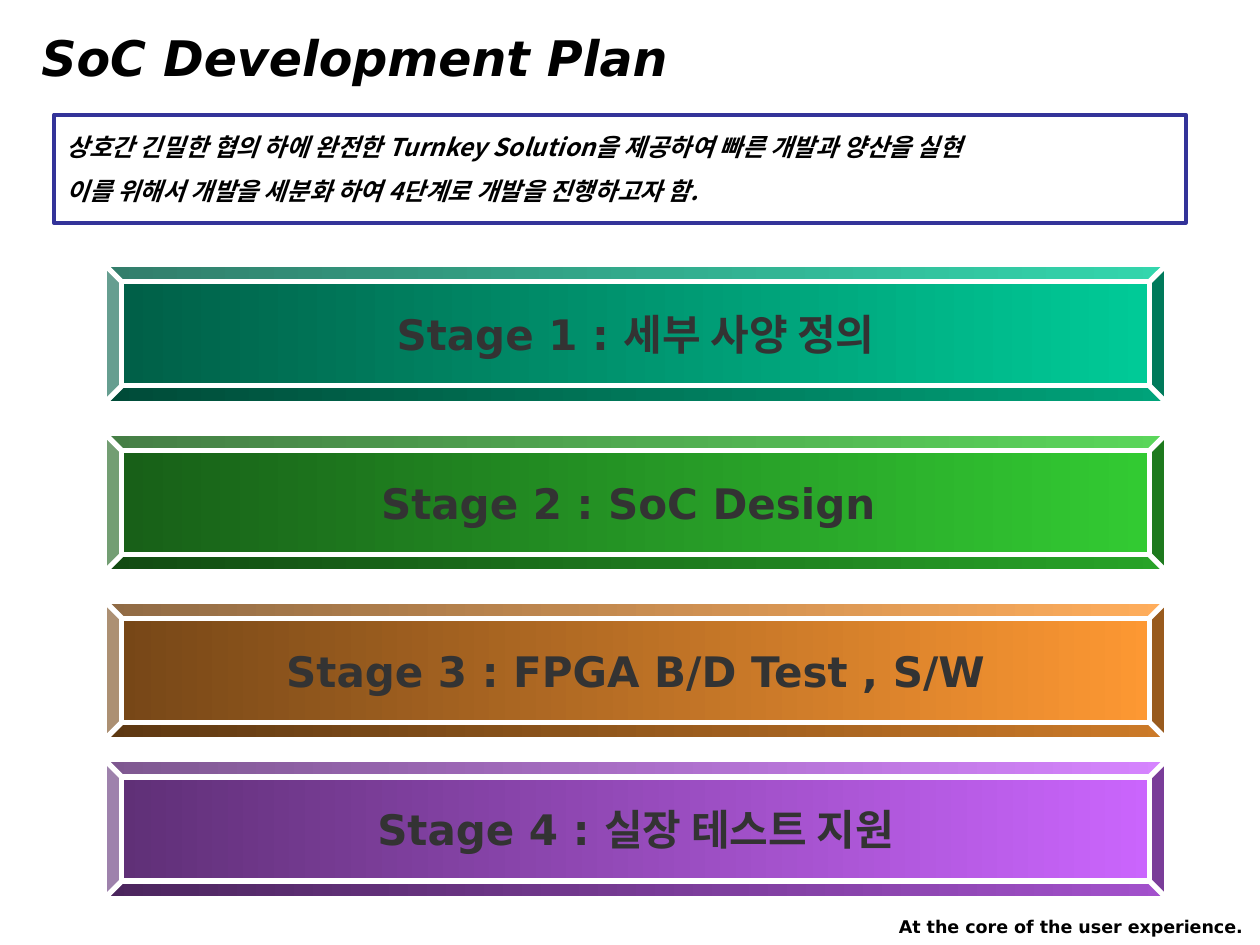
from lxml import etree
from pptx import Presentation
from pptx import util as u
from pptx.dml.color import RGBColor
from pptx.enum import shapes, text
from pptx.oxml import ns

BLACK = RGBColor(0x00, 0x00, 0x00)
WHITE = RGBColor(0xFF, 0xFF, 0xFF)
CHARCOAL = RGBColor(0x33, 0x33, 0x33)
NAVY = RGBColor(0x33, 0x33, 0x99)
TEAL = RGBColor(0x00, 0xCC, 0x99)
DARK_TEAL = RGBColor(0x00, 0x5E, 0x46)
GREEN = RGBColor(0x33, 0xCC, 0x33)
DARK_GREEN = RGBColor(0x17, 0x5E, 0x17)
ORANGE = RGBColor(0xFF, 0x99, 0x33)
BROWN = RGBColor(0x75, 0x46, 0x17)
VIOLET = RGBColor(0xCC, 0x66, 0xFF)
DARK_VIOLET = RGBColor(0x5E, 0x2F, 0x75)

LATIN_FONT = "DejaVu Sans"
KOREAN_FONT = "Noto Sans CJK KR"

STAGES = [
    ("Stage 1 : 세부 사양 정의", 2.1, TEAL, DARK_TEAL),
    ("Stage 2 : SoC Design ", 3.44, GREEN, DARK_GREEN),
    ("Stage 3 : FPGA B/D Test , S/W", 4.77, ORANGE, BROWN),
    ("Stage 4 : 실장 테스트 지원", 6.03, VIOLET, DARK_VIOLET),
]


def write_text(frame, *lines, size, color=BLACK, font=LATIN_FONT, italic=False,
               align=text.PP_ALIGN.LEFT, anchor=text.MSO_ANCHOR.TOP,
               wrap=True, gap=0):
    frame.word_wrap = wrap
    frame.vertical_anchor = anchor
    for index, line in enumerate(lines):
        para = frame.add_paragraph() if index else frame.paragraphs[0]
        para.alignment = align
        if index:
            para.space_before = u.Pt(gap)
        span = para.add_run()
        span.text = line
        span.font.size = u.Pt(size)
        span.font.bold = True
        span.font.italic = italic
        span.font.color.rgb = color
        span.font.name = font
        properties = span.font._element
        etree.SubElement(properties, ns.qn("a:ea"), typeface=KOREAN_FONT)


class PlanSlide:
    def __init__(self, page):
        self.page = page

    def label(self, line, left, top, width, height, **style):
        box = self.page.shapes.add_textbox(
            u.Inches(left), u.Inches(top), u.Inches(width), u.Inches(height))
        write_text(box.text_frame, line, **style)

    def shape(self, kind, left, top, width, height, line_color, line_width):
        box = self.page.shapes.add_shape(
            kind, u.Inches(left), u.Inches(top), u.Inches(width), u.Inches(height))
        box.shadow.inherit = False
        box.line.color.rgb = line_color
        box.line.width = u.Pt(line_width)
        return box

    def summary(self, *lines):
        box = self.shape(shapes.MSO_SHAPE.RECTANGLE, 0.43, 0.91, 8.98, 0.86, NAVY, 2.25)
        box.fill.background()
        write_text(box.text_frame, *lines, size=14, font=KOREAN_FONT, italic=True,
                   anchor=text.MSO_ANCHOR.MIDDLE, gap=8.8)

    def stage(self, line, top, bright, dark):
        box = self.shape(shapes.MSO_SHAPE.BEVEL, 0.83, top, 8.43, 1.1, WHITE, 3)
        box.adjustments[0] = 0.125
        box.fill.gradient()
        box.fill.gradient_angle = 180
        for stop, color in zip(box.fill.gradient_stops, (bright, dark)):
            stop.color.rgb = color
        write_text(box.text_frame, line, size=24, color=CHARCOAL,
                   align=text.PP_ALIGN.CENTER, anchor=text.MSO_ANCHOR.MIDDLE,
                   wrap=False)


def main():
    deck = Presentation()
    deck.slide_width = u.Inches(10)
    deck.slide_height = u.Inches(7.5)
    plan = PlanSlide(deck.slides.add_slide(deck.slide_layouts[6]))
    plan.label("At the core of the user experience.", 5.24, 7.22, 4.72, 0.27,
               size=10, align=text.PP_ALIGN.RIGHT)
    plan.label("SoC Development Plan", 0.23, 0.17, 6.58, 0.57, size=28, italic=True)
    plan.summary(
        "상호간 긴밀한 협의 하에 완전한 Turnkey Solution을 제공하여 빠른 개발과 양산을 실현",
        "이를 위해서 개발을 세분화 하여 4단계로 개발을 진행하고자 함.")
    for stage in STAGES:
        plan.stage(*stage)
    deck.save("out.pptx")


if __name__ == "__main__":
    main()
